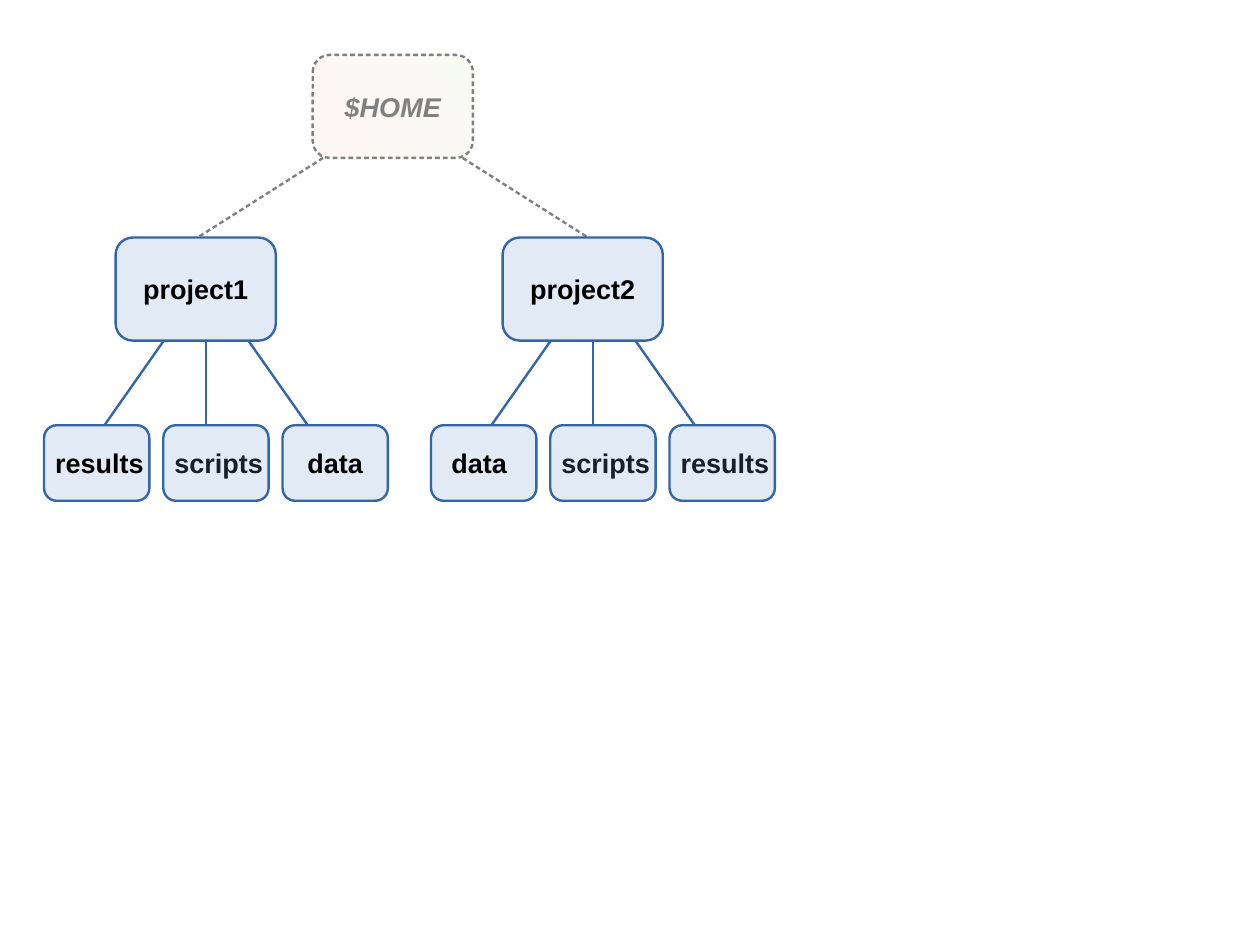
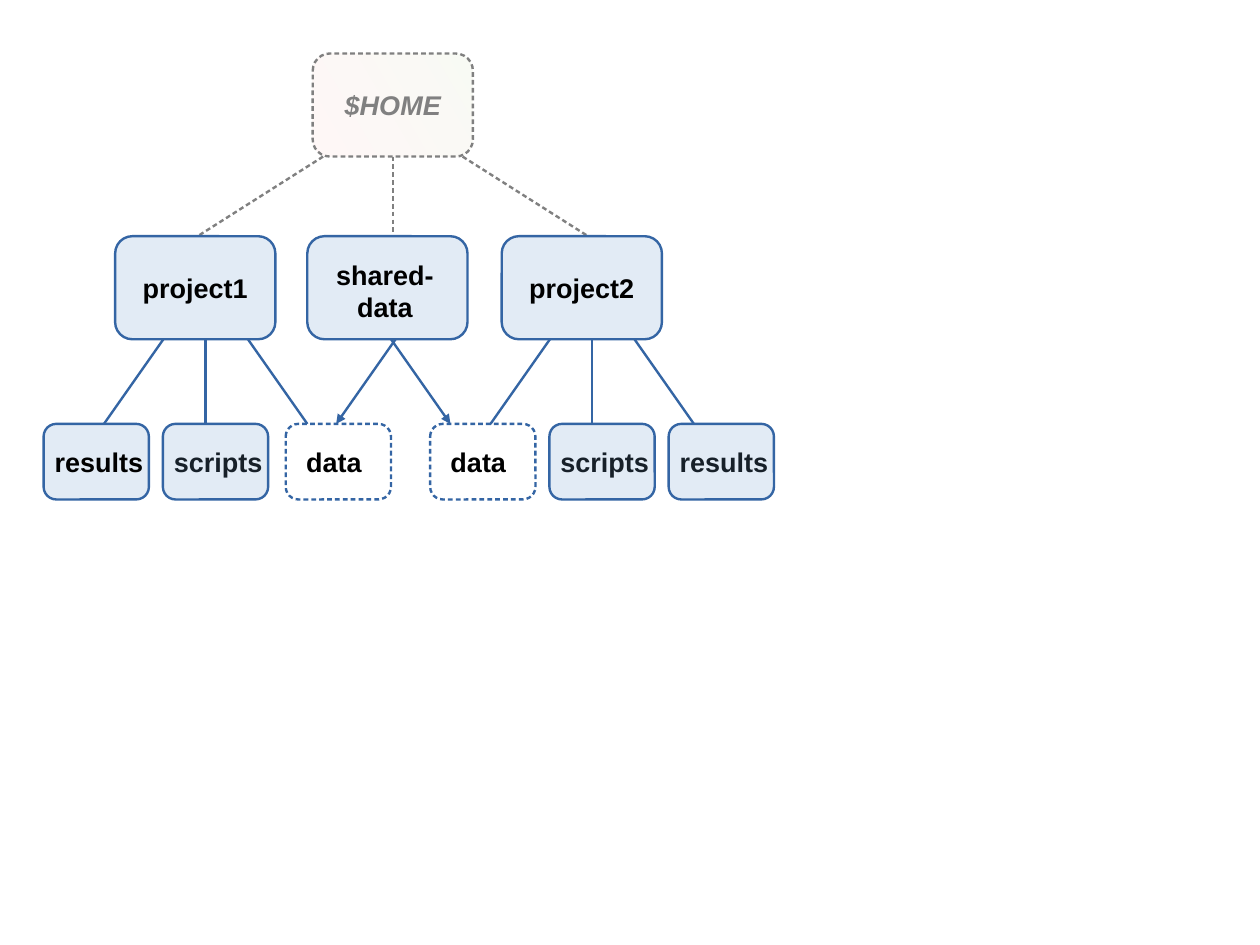
from dataclasses import dataclass
from typing import Optional

from lxml import etree
from pptx import Presentation
from pptx import util as u
from pptx.dml.color import RGBColor
from pptx.enum import shapes, text
from pptx.oxml import ns


@dataclass(frozen=True)
class Theme:
    font: str = "Arial"
    size: float = 17
    stroke: float = 1.5
    opacity: int = 20
    fill: str = "729FCF"
    line: str = "3465A4"
    ghost: str = "808080"
    ghost_fills: tuple[str, str] = ("DDE8CB", "FFD7D7")
    ink: str = "000000"
    veiled_ink: str = "172029"


@dataclass(frozen=True)
class Frame:
    left: float
    top: float
    width: float
    height: float

    @property
    def center(self) -> float:
        return self.left + self.width / 2

    @property
    def bottom(self) -> float:
        return self.top + self.height


@dataclass(frozen=True)
class Margins:
    left: float = 0.25
    right: float = 0.25
    top: float = 0.13


@dataclass(frozen=True)
class Leaf:
    name: str
    margins: Margins = Margins(0.12, 0)
    veiled: bool = False
    linked: bool = False
    shift: float = 0


@dataclass(frozen=True)
class Project:
    name: str
    left: float
    leaves: tuple[Leaf, ...]


@dataclass(frozen=True)
class Tree:
    top: float
    projects: tuple[Project, ...]
    shared: Optional[str] = None


THEME = Theme()
FOLDER_WIDTH, FOLDER_HEIGHT = 3.56, 2.29
LEAF_WIDTH, LEAF_HEIGHT, LEAF_PITCH = 2.34, 1.68, 2.65
HOME_LEFT, SHARED_LEFT = 6.95, 6.83
PROJECT_DROP, LEAF_DROP = 4.06, 8.23

RESULTS = Leaf("results")
VEILED_RESULTS = Leaf("results", veiled=True)
SCRIPTS = Leaf("scripts", veiled=True)
DATA_MARGINS = Margins(0, 0.2)
TREES = (
    Tree(1.22, (
        Project("project1", 2.57, (RESULTS, SCRIPTS, Leaf("data", Margins(0, 0)))),
        Project("project2", 11.17, (Leaf("data", DATA_MARGINS), SCRIPTS, VEILED_RESULTS)),
    )),
    Tree(1.19, (
        Project("project1", 2.56, (RESULTS, SCRIPTS,
                                   Leaf("data", DATA_MARGINS, linked=True, shift=0.08))),
        Project("project2", 11.15, (Leaf("data", DATA_MARGINS, linked=True), SCRIPTS,
                                    VEILED_RESULTS)),
    ), shared="shared-data"),
)


def set_opacity(element) -> None:
    for color in element.iter(ns.qn("a:srgbClr")):
        alpha = etree.SubElement(color, ns.qn("a:alpha"))
        alpha.set("val", str(THEME.opacity * 1000))


def style_line(shape, color: str, dashed: bool = False, arrow: bool = False) -> None:
    shape.line.color.rgb = RGBColor.from_string(color)
    shape.line.width = u.Pt(THEME.stroke)
    outline = shape.element.spPr.get_or_add_ln()
    if dashed:
        pattern = etree.SubElement(outline, ns.qn("a:custDash"))
        dash = etree.SubElement(pattern, ns.qn("a:ds"))
        dash.set("d", "200000")
        dash.set("sp", "130000")
    if arrow:
        etree.SubElement(outline, ns.qn("a:tailEnd")).set("type", "triangle")


def draw_line(page, start: tuple[float, float], end: tuple[float, float],
              color: str = THEME.line, dashed: bool = False, arrow: bool = False) -> None:
    line = page.shapes.add_connector(
        shapes.MSO_CONNECTOR.STRAIGHT, *(u.Cm(value) for value in (*start, *end)))
    style_line(line, color, dashed, arrow)
    etree.SubElement(line.element.spPr, ns.qn("a:effectLst"))


def draw_box(page, frame: Frame, color: str = THEME.line, dashed: bool = False):
    box = page.shapes.add_shape(
        shapes.MSO_SHAPE.ROUNDED_RECTANGLE, u.Cm(frame.left), u.Cm(frame.top),
        u.Cm(frame.width), u.Cm(frame.height))
    box.shadow.inherit = False
    style_line(box, color, dashed)
    return box


def fill_solid(box) -> None:
    box.fill.solid()
    box.fill.fore_color.rgb = RGBColor.from_string(THEME.fill)
    set_opacity(box.element.spPr.find(ns.qn("a:solidFill")))


def fill_ghost(box) -> None:
    box.fill.gradient()
    box.fill.gradient_angle = 210
    for stop, color in zip(box.fill.gradient_stops, THEME.ghost_fills):
        stop.color.rgb = RGBColor.from_string(color)
    set_opacity(box.element.spPr.find(ns.qn("a:gradFill")))


def write_label(box, label: str, margins: Margins = Margins(),
                color: str = THEME.ink, italic: bool = False) -> None:
    frame = box.text_frame
    frame.word_wrap = True
    frame.vertical_anchor = text.MSO_ANCHOR.MIDDLE
    frame.margin_left, frame.margin_right = u.Cm(margins.left), u.Cm(margins.right)
    frame.margin_top, frame.margin_bottom = u.Cm(margins.top), u.Cm(0.13)
    para = frame.paragraphs[0]
    para.text = label
    para.alignment = text.PP_ALIGN.CENTER
    para.font.name = THEME.font
    para.font.size = u.Pt(THEME.size)
    para.font.bold = True
    para.font.italic = italic
    para.font.color.rgb = RGBColor.from_string(color)


def draw_folder(page, frame: Frame, label: str, margins: Margins = Margins()) -> None:
    box = draw_box(page, frame)
    fill_solid(box)
    write_label(box, label, margins)


def draw_leaf(page, frame: Frame, leaf: Leaf) -> None:
    box = draw_box(page, frame, dashed=leaf.linked)
    if leaf.linked:
        box.fill.background()
    else:
        fill_solid(box)
    write_label(box, leaf.name, leaf.margins,
                THEME.veiled_ink if leaf.veiled else THEME.ink)


def draw_project(page, project: Project, tree_top: float) -> None:
    folder = Frame(project.left, tree_top + PROJECT_DROP, FOLDER_WIDTH, FOLDER_HEIGHT)
    draw_folder(page, folder, project.name)
    leaf_top = tree_top + LEAF_DROP
    axis = folder.center + 0.23
    for index, leaf in enumerate(project.leaves):
        left = project.left - 1.59 + index * LEAF_PITCH + leaf.shift
        draw_leaf(page, Frame(left, leaf_top, LEAF_WIDTH, LEAF_HEIGHT), leaf)
        side = index - 1
        draw_line(page, (axis + side * 0.94, folder.bottom), (axis + side * 2.26, leaf_top))


def draw_shared(page, label: str, tree_top: float) -> None:
    folder = Frame(SHARED_LEFT, tree_top + PROJECT_DROP, FOLDER_WIDTH, FOLDER_HEIGHT)
    draw_folder(page, folder, label, Margins(right=0.36, top=0.26))
    axis = folder.center + 0.13
    for side in (-1, 1):
        draw_line(page, (axis - side * 0.05, folder.bottom),
                  (axis + side * 1.27, tree_top + LEAF_DROP), arrow=True)


def draw_tree(page, tree: Tree) -> None:
    home = Frame(HOME_LEFT, tree.top, FOLDER_WIDTH, FOLDER_HEIGHT)
    box = draw_box(page, home, THEME.ghost, dashed=True)
    fill_ghost(box)
    write_label(box, "$HOME", color=THEME.ghost, italic=True)
    for side in (-1, 0, 1) if tree.shared else (-1, 1):
        draw_line(page, (home.center + side * 1.55, home.bottom),
                  (home.center + side * 4.34, tree.top + PROJECT_DROP),
                  THEME.ghost, dashed=True)
    for project in tree.projects:
        draw_project(page, project, tree.top)
    if tree.shared:
        draw_shared(page, tree.shared, tree.top)


def main() -> None:
    deck = Presentation()
    deck.slide_width, deck.slide_height = u.Cm(28), u.Cm(21)
    for tree in TREES:
        draw_tree(deck.slides.add_slide(deck.slide_layouts[6]), tree)
    deck.save("out.pptx")


if __name__ == "__main__":
    main()
